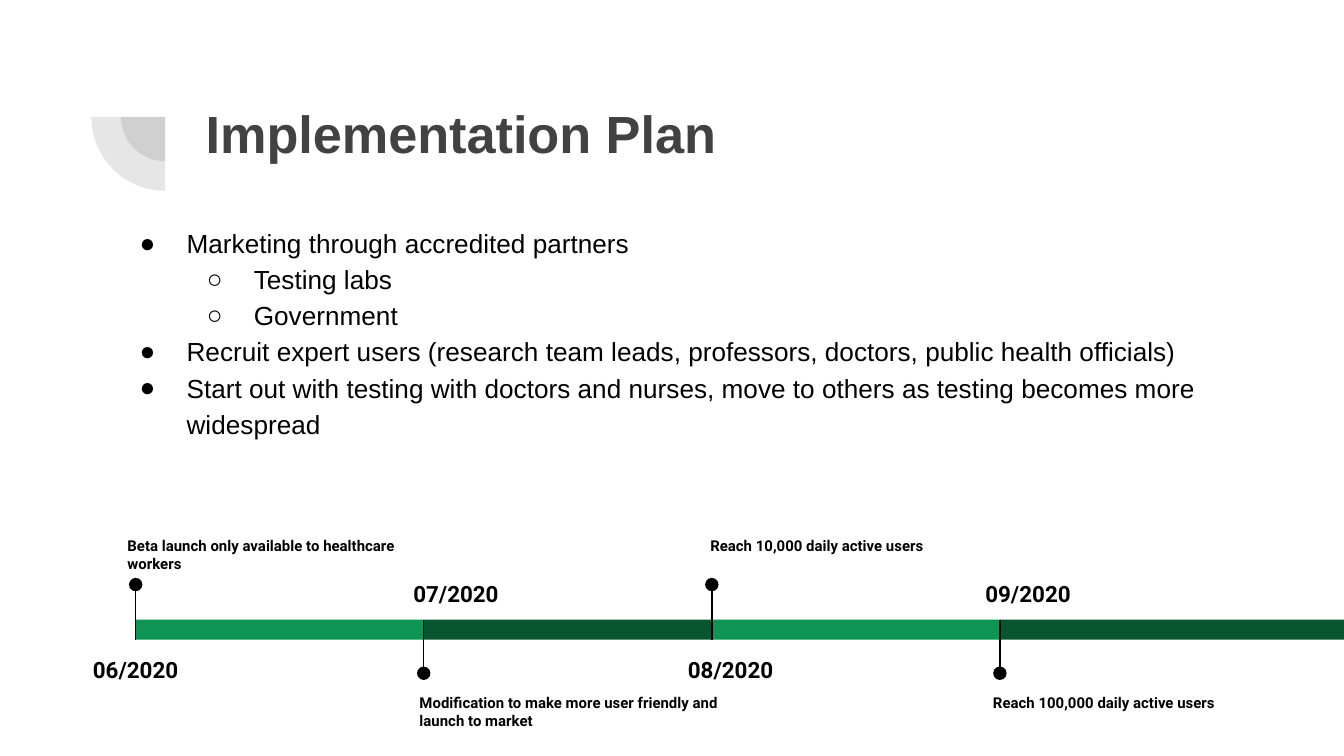
from dataclasses import dataclass

from lxml import etree
from pptx import Presentation
from pptx.dml.color import RGBColor
from pptx.enum import shapes, text
from pptx.oxml import ns
from pptx.util import Inches, Pt


@dataclass(frozen=True)
class Theme:
    ink: str = "000000"
    heading: str = "424242"
    light_green: str = "0E9453"
    dark_green: str = "085631"
    body_font: str = "Arial"
    label_font: str = "Roboto"
    title_size: int = 28
    body_size: int = 14
    date_size: int = 12
    caption_size: int = 8


THEME = Theme()

PLAN = [
    (0, "Marketing through accredited partners"),
    (1, "Testing labs"),
    (1, "Government"),
    (0, "Recruit expert users (research team leads, professors, doctors, "
        "public health officials)"),
    (0, "Start out with testing with doctors and nurses, move to others as "
        "testing becomes more widespread"),
]

# date, date centre and caption left relative to the marker, caption
MILESTONES = [
    ("06/2020", 0, -0.16, "Beta launch only available to healthcare workers"),
    ("07/2020", 0.24, -0.13,
     "Modification to make more user friendly and launch to market"),
    ("08/2020", 0.14, -0.11, "Reach 10,000 daily active users"),
    ("09/2020", 0.21, -0.15, "Reach 100,000 daily active users"),
]


def inches(*lengths):
    return [Inches(length) for length in lengths]


def prepare_frame(frame):
    """Top-anchored, wrapping text with equal insets."""
    frame.word_wrap = True
    frame.auto_size = text.MSO_AUTO_SIZE.NONE
    frame.vertical_anchor = text.MSO_ANCHOR.TOP
    frame.margin_left = frame.margin_right = Inches(0.1)
    frame.margin_top = frame.margin_bottom = Inches(0.1)


def write(paragraph, words, *, size, font, color=THEME.ink, bold=False,
          align=text.PP_ALIGN.LEFT, spacing=1.0):
    paragraph.alignment = align
    paragraph.line_spacing = spacing
    run = paragraph.add_run()
    run.text = words
    run.font.size = Pt(size)
    run.font.name = font
    run.font.bold = bold
    run.font.color.rgb = RGBColor.from_string(color)


def add_label(slide, box, words, **style):
    frame = slide.shapes.add_textbox(*inches(*box)).text_frame
    prepare_frame(frame)
    write(frame.paragraphs[0], words, font=THEME.label_font, bold=True, **style)


def add_filled(slide, preset, box, color):
    shape = slide.shapes.add_shape(preset, *inches(*box))
    shape.shadow.inherit = False
    shape.fill.solid()
    shape.fill.fore_color.rgb = RGBColor.from_string(color)
    shape.line.fill.background()
    return shape


def add_stem(slide, x, top, bottom):
    stem = slide.shapes.add_connector(
        shapes.MSO_CONNECTOR.STRAIGHT, *inches(x, top, x, bottom))
    stem.line.color.rgb = RGBColor.from_string(THEME.ink)
    stem.line.width = Pt(0.75)
    etree.SubElement(stem.element.spPr, ns.qn("a:effectLst"))


def set_bullet(paragraph, level):
    paragraph.level = level
    properties = paragraph._p.get_or_add_pPr()
    properties.set("marL", str(Inches(0.5 * (level + 1))))
    properties.set("indent", str(Inches(-0.35)))
    color = etree.SubElement(properties, ns.qn("a:buClr"))
    etree.SubElement(color, ns.qn("a:srgbClr"), val=THEME.ink)
    etree.SubElement(properties, ns.qn("a:buFont"), typeface=THEME.body_font)
    etree.SubElement(properties, ns.qn("a:buChar"), char="●○"[level])


def add_quarter_rings(slide, box):
    """Two translucent quarter circles whose centre is the top right corner."""
    left, top, width, _ = box
    for radius in (0.6 * width, width):
        pie = add_filled(
            slide, shapes.MSO_SHAPE.PIE,
            (left + width - radius, top - radius, 2 * radius, 2 * radius),
            THEME.heading)
        pie.adjustments[0], pie.adjustments[1] = 54, 108
        color = pie.fill._xPr.find(".//" + ns.qn("a:srgbClr"))
        etree.SubElement(color, ns.qn("a:alpha"), val="13000")


def place_title(slide, box, words):
    title = slide.shapes.title
    title.left, title.top, title.width, title.height = inches(*box)
    prepare_frame(title.text_frame)
    write(title.text_frame.paragraphs[0], words, size=THEME.title_size,
          font=THEME.body_font, color=THEME.heading, bold=True)


def add_plan(slide, box):
    frame = slide.shapes.add_textbox(*inches(*box)).text_frame
    prepare_frame(frame)
    for index, (level, words) in enumerate(PLAN):
        paragraph = frame.add_paragraph() if index else frame.paragraphs[0]
        write(paragraph, words, size=THEME.body_size, font=THEME.body_font,
              spacing=1.15)
        set_bullet(paragraph, level)


def add_timeline(slide, box):
    """Bars across the box, with captions alternately above and below."""
    left, top, width, _ = box
    last = len(MILESTONES) - 1
    step = 6.43 / last
    bar_top, bar_height, dot = top + 0.72, 0.15, 0.1
    for index, (date, date_shift, caption_shift, caption) in enumerate(MILESTONES):
        x = left + index * step
        above = index % 2 == 0
        bar_width = left + width - x if index == last else step
        add_filled(slide, shapes.MSO_SHAPE.RECTANGLE,
                   (x, bar_top, bar_width, bar_height),
                   THEME.light_green if above else THEME.dark_green)

        dot_center = top + (0.46 if above else 1.12)
        if above:
            add_stem(slide, x, dot_center, bar_top + bar_height)
        else:
            add_stem(slide, x, bar_top, dot_center)
        add_filled(slide, shapes.MSO_SHAPE.OVAL,
                   (x - dot / 2, dot_center - dot / 2, dot, dot), THEME.ink)

        date_width = 1
        add_label(slide, (x + date_shift - date_width / 2,
                          top + (0.86 if above else 0.3), date_width, 0.41),
                  date, size=THEME.date_size, align=text.PP_ALIGN.CENTER,
                  spacing=1.15)
        add_label(slide, (x + caption_shift, top + (0 if above else 1.17),
                          2.46, 0.52), caption, size=THEME.caption_size)


def main():
    deck = Presentation()
    deck.slide_width = Inches(10)
    deck.slide_height = deck.slide_width * 9 // 16
    slide = deck.slides.add_slide(deck.slide_layouts.get_by_name("Title Only"))
    add_quarter_rings(slide, (0.68, 0.87, 0.55, 0.55))
    place_title(slide, (1.43, 0.65, 7.69, 1.09), "Implementation Plan")
    add_plan(slide, (0.79, 1.56, 8.42, 3.21))
    add_timeline(slide, (1.01, 3.89, 8.99, 1.69))
    deck.save("out.pptx")


if __name__ == "__main__":
    main()
